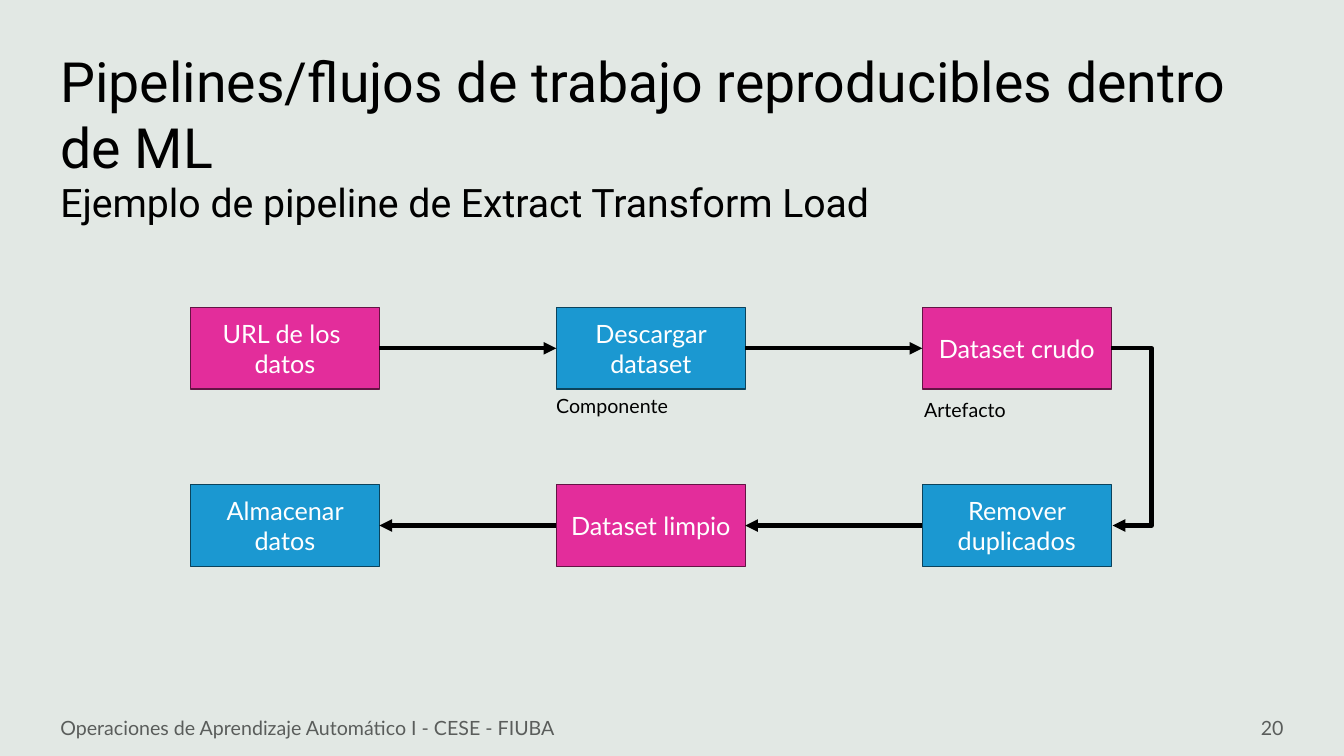
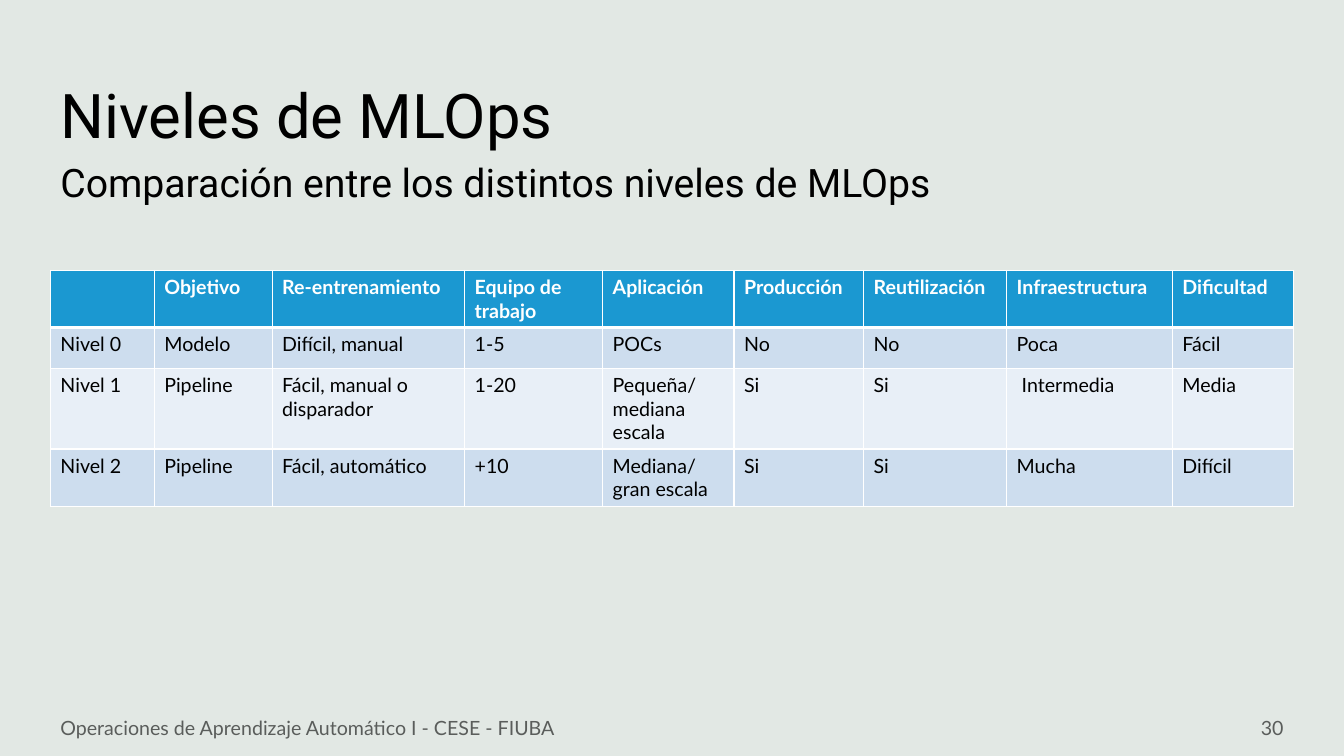
from lxml import etree
from pptx import Presentation
from pptx.dml.color import RGBColor
from pptx.enum.shapes import MSO_CONNECTOR, MSO_SHAPE
from pptx.enum.text import MSO_ANCHOR, MSO_AUTO_SIZE, PP_ALIGN
from pptx.oxml.ns import qn
from pptx.util import Pt

RECTANGLE = MSO_SHAPE.RECTANGLE
STRAIGHT, ELBOW = MSO_CONNECTOR.STRAIGHT, MSO_CONNECTOR.ELBOW
LEFT, CENTER, RIGHT = PP_ALIGN.LEFT, PP_ALIGN.CENTER, PP_ALIGN.RIGHT
TOP, MIDDLE = MSO_ANCHOR.TOP, MSO_ANCHOR.MIDDLE

BACKGROUND = RGBColor(0xE2, 0xE8, 0xE4)
BLACK = RGBColor(0x00, 0x00, 0x00)
WHITE = RGBColor(0xFF, 0xFF, 0xFF)
GRAY = RGBColor(0x5A, 0x5D, 0x5B)
PINK = RGBColor(0xE3, 0x2D, 0x9B)
DARK_PINK = RGBColor(0x63, 0x14, 0x44)
BLUE = RGBColor(0x1B, 0x98, 0xD1)
DARK_BLUE = RGBColor(0x0C, 0x43, 0x5C)
BAND_DARK = RGBColor(0xCD, 0xDD, 0xEE)
BAND_LIGHT = RGBColor(0xE8, 0xEF, 0xF7)

HEADING_FONT, BODY_FONT = "Roboto", "Lato"
FOOTER = "Operaciones de Aprendizaje Automático I - CESE - FIUBA"
MARGIN = 36


def write(frame, text, size, color, font=BODY_FONT, align=LEFT, anchor=MIDDLE, bold=False):
    frame.text = text
    frame.vertical_anchor = anchor
    for para in frame.paragraphs:
        para.alignment = align
        for span in para.runs:
            span.font.name = font
            span.font.size = Pt(size)
            span.font.color.rgb = color
            span.font.bold = bold


def add_text(page, left, top, width, height, text, size, color, wrap=True, **style):
    box = page.shapes.add_textbox(Pt(left), Pt(top), Pt(width), Pt(height))
    box.text_frame.word_wrap = wrap
    write(box.text_frame, text, size, color, **style)
    return box


deck = Presentation()
deck.slide_width, deck.slide_height = Pt(960), Pt(540)
deck.slide_master.background.fill.solid()
deck.slide_master.background.fill.fore_color.rgb = BACKGROUND
title_only = deck.slide_layouts[5]

# Title, subtitle and footer of each slide
headings = [
    ("Pipelines/flujos de trabajo reproducibles dentro de ML", 39.6,
     "Ejemplo de pipeline de Extract Transform Load", 126.7, "20"),
    ("Niveles de MLOps", 44,
     "Comparación entre los distintos niveles de MLOps", 112.3, "30"),
]
pages = []
for title_text, title_size, subtitle_text, subtitle_top, number in headings:
    page = deck.slides.add_slide(title_only)
    title = page.shapes.title
    title.left, title.top, title.width, title.height = Pt(MARGIN), Pt(28.8), Pt(858), Pt(104.4)
    write(title.text_frame, title_text, title_size, BLACK, font=HEADING_FONT)
    title.text_frame.auto_size = MSO_AUTO_SIZE.NONE
    subtitle = add_text(page, MARGIN, subtitle_top, 858, 39.6, subtitle_text, 28, BLACK,
                        font=HEADING_FONT)
    subtitle.text_frame.paragraphs[0].line_spacing = 0.9
    add_text(page, MARGIN, 505.4, 469, 28.8, FOOTER, 14, GRAY)
    add_text(page, 708, 505.4, 216, 28.8, number, 14, GRAY, align=RIGHT)
    pages.append(page)
pipeline_page, levels_page = pages

# Pipeline steps: left to right, then back, artefacts and components in turn
steps = ["URL de los \ndatos", "Descargar dataset", "Dataset crudo",
         "Remover duplicados", "Dataset limpio", "Almacenar datos"]
STEP_LEFT, STEP_TOP, STEP_WIDTH, STEP_HEIGHT = 136, 219.6, 135, 58.4
COLUMN_PITCH, ROW_PITCH = 261.4, 126.6
boxes = []
for index, text in enumerate(steps):
    row, column = divmod(index, 3)
    if row == 1:
        column = 2 - column
    fill, outline = (BLUE, DARK_BLUE) if index % 2 else (PINK, DARK_PINK)
    box = pipeline_page.shapes.add_shape(
        RECTANGLE, Pt(STEP_LEFT + column * COLUMN_PITCH), Pt(STEP_TOP + row * ROW_PITCH),
        Pt(STEP_WIDTH), Pt(STEP_HEIGHT))
    box.shadow.inherit = False
    box.fill.solid()
    box.fill.fore_color.rgb = fill
    box.line.color.rgb = outline
    box.line.width = Pt(1)
    box.text_frame.word_wrap = True
    write(box.text_frame, text, 18, WHITE, align=CENTER)
    boxes.append(box)

# Arrows between consecutive steps; the turn at the right bends around
TURN_REACH = 29
for index, (start, end) in enumerate(zip(boxes, boxes[1:])):
    if index == 2:
        right = start.left + start.width
        arrow = pipeline_page.shapes.add_connector(
            ELBOW, right, start.top + start.height // 2,
            right + Pt(1), end.top + end.height // 2)
        guides = arrow._element.spPr.find(qn("a:prstGeom")).get_or_add_avLst()
        etree.SubElement(guides, qn("a:gd"), name="adj1", fmla=f"val {TURN_REACH * 100000}")
    else:
        arrow = pipeline_page.shapes.add_connector(STRAIGHT, 0, 0, 0, 0)
        start_site, end_site = (3, 1) if index < 2 else (1, 3)
        arrow.begin_connect(start, start_site)
        arrow.end_connect(end, end_site)
    arrow.line.color.rgb = BLACK
    arrow.line.width = Pt(3)
    etree.SubElement(arrow.line._get_or_add_ln(), qn("a:tailEnd"), type="triangle")
    etree.SubElement(arrow._element.spPr, qn("a:effectLst"))

# Labels under the first component and artefact
for label, left, top, width in [("Componente", 390.2, 278, 100), ("Artefacto", 653, 280.8, 73.4)]:
    add_text(pipeline_page, left, top, width, 24.5, label, 14, BLACK, wrap=False, anchor=TOP)

# Comparison table
rows = [
    ["", "Objetivo", "Re-entrenamiento", "Equipo de trabajo", "Aplicación",
     "Producción", "Reutilización", "Infraestructura", "Dificultad"],
    ["Nivel 0", "Modelo", "Difícil, manual", "1-5", "POCs", "No", "No", "Poca", "Fácil"],
    ["Nivel 1", "Pipeline", "Fácil, manual o disparador", "1-20", "Pequeña/\nmediana escala",
     "Si", "Si", " Intermedia", "Media"],
    ["Nivel 2", "Pipeline", "Fácil, automático", "+10", "Mediana/\ngran escala",
     "Si", "Si", "Mucha", "Difícil"],
]
column_widths = [74.2, 84.2, 137.5, 98.6, 93.9, 92.5, 102.2, 118.4, 86.5]
row_fills = [BLUE, BAND_DARK, BAND_LIGHT, BAND_DARK]
ROW_HEIGHT = 29.2
table = levels_page.shapes.add_table(
    len(rows), len(column_widths), Pt(MARGIN), Pt(193), Pt(sum(column_widths)),
    Pt(ROW_HEIGHT * len(rows))).table
for column, width in zip(table.columns, column_widths):
    column.width = Pt(width)
for row_index, (texts, fill) in enumerate(zip(rows, row_fills)):
    table.rows[row_index].height = Pt(ROW_HEIGHT)
    header = row_index == 0
    # The rule below the header is thicker
    borders = {"a:lnL": 1, "a:lnR": 1, "a:lnT": 3 if row_index == 1 else 1,
               "a:lnB": 3 if header else 1}
    for column_index, text in enumerate(texts):
        cell = table.cell(row_index, column_index)
        write(cell.text_frame, text, 14, WHITE if header else BLACK, anchor=TOP, bold=header)
        cell.fill.solid()
        cell.fill.fore_color.rgb = fill
        properties = cell._tc.get_or_add_tcPr()
        for position, (tag, weight) in enumerate(borders.items()):
            border = etree.Element(qn(tag), w=str(Pt(weight)))
            paint = etree.SubElement(border, qn("a:solidFill"))
            etree.SubElement(paint, qn("a:srgbClr"), val=str(WHITE))
            properties.insert(position, border)

deck.save("out.pptx")
